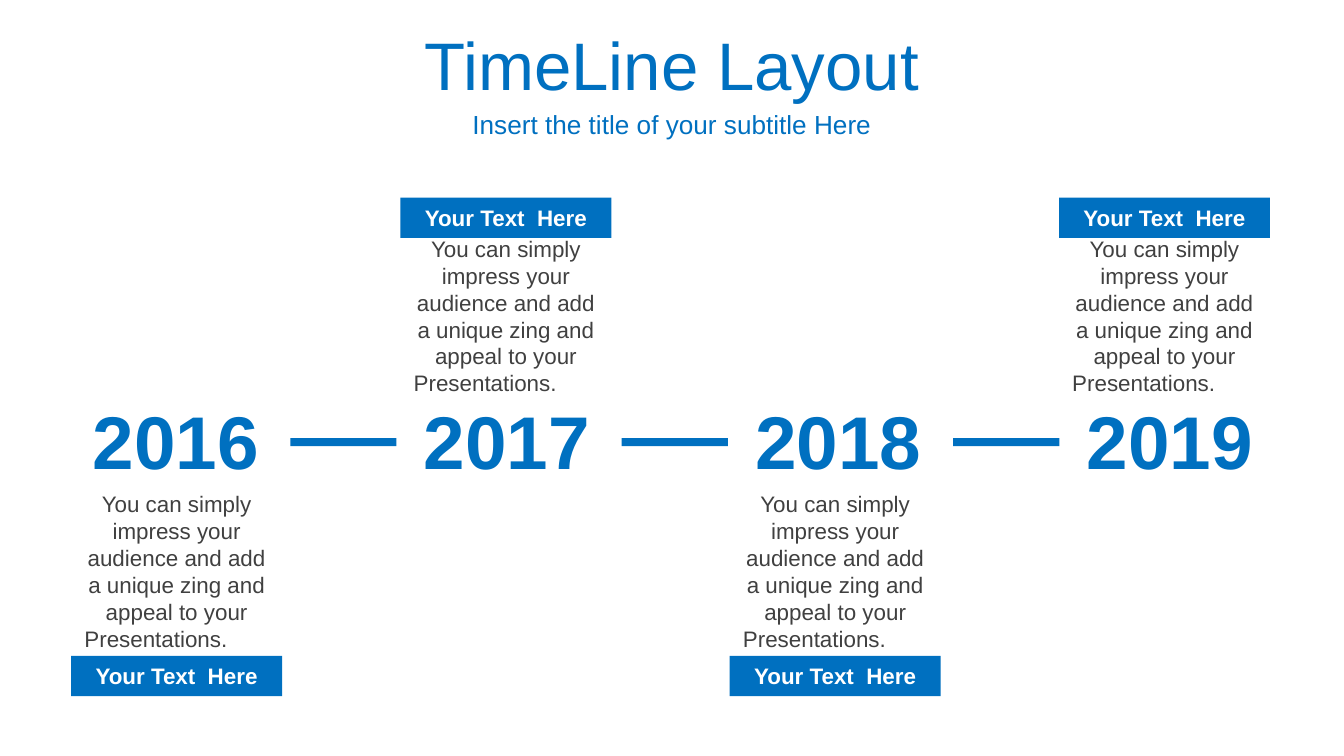
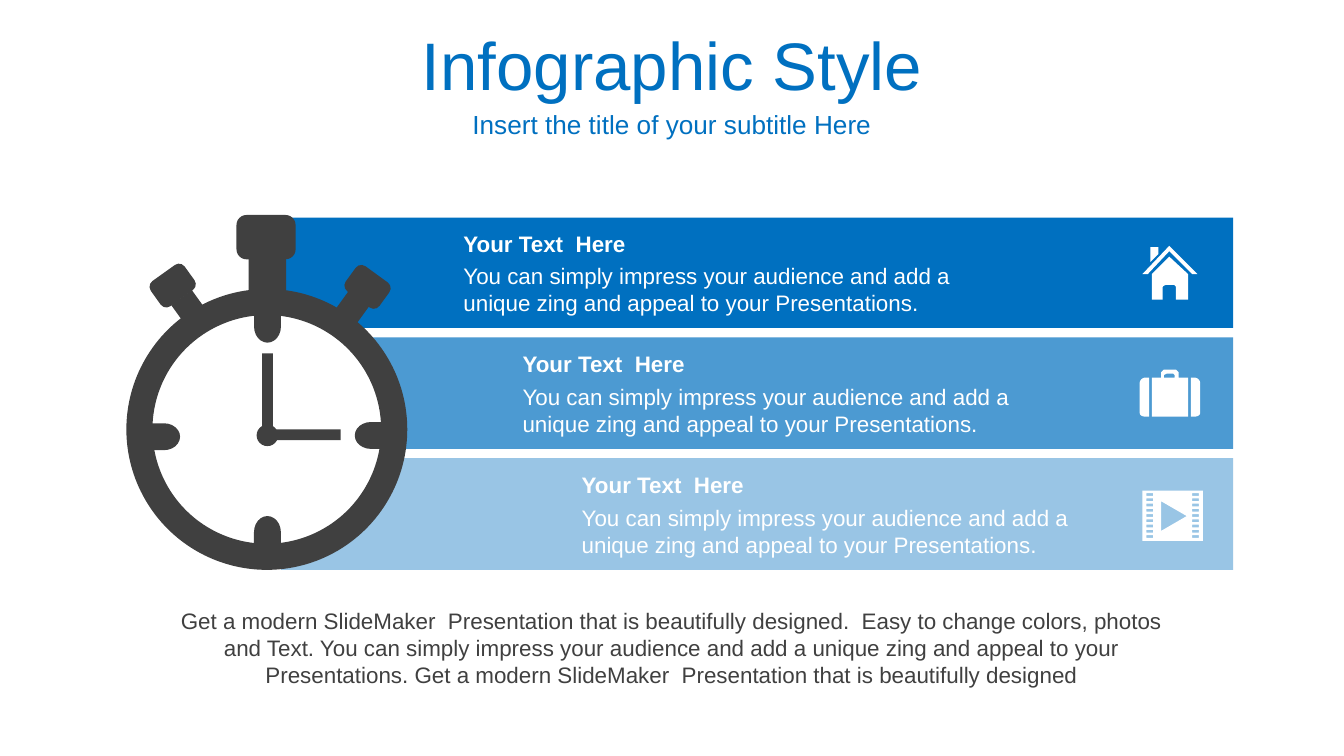
"""Build a two-slide deck with a timeline and a stopwatch infographic."""
import dataclasses

import pptx
import pptx.dml.color
import pptx.enum.shapes
import pptx.enum.text
import pptx.oxml.ns
import pptx.util
from lxml import etree

ALIGN = pptx.enum.text.PP_ALIGN
ANCHOR = pptx.enum.text.MSO_ANCHOR
FORM = pptx.enum.shapes.MSO_SHAPE
WIDE, HIGH = pptx.util.Inches(10), pptx.util.Inches(5.625)
COLS = 100
HEAD = "Your Text  Here"
PITCH = "You can simply impress your audience and add a unique zing and appeal to your"
LAST = "Presentations."
CLOSE = ("Get a modern SlideMaker  Presentation that is beautifully designed.  "
         "Easy to change colors, photos and Text. " + PITCH + " " + LAST +
         " Get a modern SlideMaker  Presentation that is beautifully designed")


@dataclasses.dataclass(frozen=True)
class Theme:
    """Colours, font and type sizes of the deck."""
    blue: str = "0070C0"
    dark: str = "404040"
    white: str = "FFFFFF"
    font: str = "Arial"
    title: int = 36
    sub: int = 14
    year: int = 40
    text: int = 12
    lead: float = 1.2


THEME = Theme()


def unit(count):
    """Turn grid columns into a length; rows are as tall as columns are wide."""
    return pptx.util.Emu(round(count * WIDE / COLS))


def put(item, vals):
    """Set each attribute of the item from a dict."""
    for name, val in vals.items():
        setattr(item, name, val)


def paint(shape, color, alpha=100):
    """Give the shape a plain fill without line or shadow."""
    shape.shadow.inherit = False
    shape.line.fill.background()
    shape.fill.solid()
    shape.fill.fore_color.rgb = pptx.dml.color.RGBColor.from_string(color)
    if alpha < 100:
        qn = pptx.oxml.ns.qn
        node = shape.element.spPr.find(".//" + qn("a:srgbClr"))
        etree.SubElement(node, qn("a:alpha")).set("val", str(alpha * 1000))


def write(frame, lines, size, color, bold=False, align=ALIGN.CENTER, **vals):
    """Fill a text frame; a line may be a pair of text and alignment."""
    put(frame, {"word_wrap": True, "auto_size": pptx.enum.text.MSO_AUTO_SIZE.NONE, **vals})
    for num, line in enumerate(lines):
        words, side = line if isinstance(line, tuple) else (line, align)
        para = frame.add_paragraph() if num else frame.paragraphs[0]
        put(para, {"text": words, "alignment": side, "space_before": pptx.util.Pt(0),
                   "line_spacing": pptx.util.Pt(size * THEME.lead)})
        put(para.font, {"name": THEME.font, "size": pptx.util.Pt(size), "bold": bold})
        para.font.color.rgb = pptx.dml.color.RGBColor.from_string(color)


def note(shapes, box, lines, size, color, **vals):
    """Add a text box at a grid place."""
    shape = shapes.add_textbox(*map(unit, box))
    write(shape.text_frame, lines, size, color, **vals)


def block(shapes, form, box, color, turn=0, bend=None):
    """Add a filled preset shape at a grid place."""
    shape = shapes.add_shape(form, *map(unit, box))
    paint(shape, color)
    shape.rotation = turn
    if bend is not None:
        shape.adjustments[0] = bend
    return shape


def curve(start, one, two, end, steps=12):
    """List the points of a cubic curve."""
    points = []
    for step in range(steps + 1):
        t = step / steps
        parts = ((1 - t) ** 3, 3 * t * (1 - t) ** 2, 3 * t * t * (1 - t), t ** 3)
        points.append(tuple(sum(p * q[axis] for p, q in zip(parts, (start, one, two, end)))
                            for axis in (0, 1)))
    return points


def rect(left, top, right, low):
    """List the corners of a rectangle."""
    return [(left, top), (right, top), (right, low), (left, low)]


def trace(shapes, loops, color, alpha=100):
    """Draw closed loops as one freeform; inner loops are holes."""
    build = None
    for loop in loops:
        first, *rest = [(unit(x), unit(y)) for x, y in loop]
        if build is None:
            build = shapes.build_freeform(*first)
        else:
            build.move_to(*first)
        build.add_line_segments(rest, close=True)
    paint(build.convert_to_shape(), color, alpha)


def begin(deck, title):
    """Add a slide with its title and subtitle."""
    slide = deck.slides.add_slide(deck.slide_layouts[0])
    rows = ((title, 1.4, 6.3, THEME.title, 0.8, 0.4),
            ("Insert the title of your subtitle Here", 7.7, 3.1, THEME.sub, 0.5, 0.5))
    for holder, (words, top, tall, size, above, below) in zip(slide.placeholders, rows):
        put(holder, {"left": 0, "top": unit(top), "width": WIDE, "height": unit(tall)})
        write(holder.text_frame, [words], size, THEME.blue, margin_top=unit(above),
              margin_bottom=unit(below), vertical_anchor=ANCHOR.MIDDLE)
    return slide.shapes


def card(shapes, left, text, label):
    """Add a grouped caption with its blue label."""
    group = shapes.add_group_shape().shapes
    note(group, (left, text, 15.7, 13.1), [PITCH, (LAST, ALIGN.LEFT)], THEME.text, THEME.dark)
    shape = block(group, FORM.RECTANGLE, (left, label, 15.7, 3), THEME.blue)
    write(shape.text_frame, [HEAD], THEME.text, THEME.white, bold=True,
          vertical_anchor=ANCHOR.MIDDLE)


def years(shapes):
    """Lay out the years, the bars between them and the captions."""
    step = 24.66
    for num in range(4):
        note(shapes, (5.9 + num * step, 28.9, 14.5, 7.7), [str(2016 + num)], THEME.year,
             THEME.blue, bold=True, align=ALIGN.LEFT, word_wrap=False)
        if num < 3:
            block(shapes, FORM.RECTANGLE, (21.6 + num * step, 32.6, 7.9, 0.6), THEME.blue)
        card(shapes, 5.3 + num * 24.5, *((17, 14.7) if num % 2 else (36, 48.8)))


def bands(shapes):
    """Draw the three bands that curve around the watch."""
    right = 91.75
    edges = (
        [(20.7, 16.2), (right, 16.2), (right, 24.4),
         *curve((25.4, 24.4), (24.1, 23.4), (22.5, 22.7), (20.7, 22.5))],
        [(26.3, 25.1), (right, 25.1), (right, 33.4),
         *curve((29.1, 33.4), (29.1, 32.9), (29.2, 32.4), (29.2, 31.9)),
         *curve((29.2, 31.9), (29.2, 29.2), (28.1, 26.8), (26.3, 25.1))],
        [(28.9, 34.1), (right, 34.1), (right, 42.4), (20.9, 42.4),
         *curve((20.9, 41.2), (24.8, 40.8), (28, 37.9), (28.9, 34.1))])
    for edge, alpha in zip(edges, (100, 70, 40)):
        trace(shapes, [edge], THEME.blue, alpha)


def watch(shapes):
    """Draw the stopwatch from preset shapes."""
    group = shapes.add_group_shape().shapes
    block(group, FORM.DONUT, (9.4, 21.5, 20.9, 20.9), THEME.dark, bend=0.093)
    stems = ((13, 22, 1.9, 1.5, 324.3), (25.3, 22.1, 1.9, 1.5, 36), (18.5, 19.2, 2.8, 3.3, 0),
             (19.5, 26.3, 0.8, 5.9, 0), (22, 29.4, 0.8, 5.9, 90))
    for *box, turn in stems:
        block(group, FORM.RECTANGLE, box, THEME.dark, turn)
    knobs = ((11.3, 20.1, 3.1, 2.3, 324.3), (25.8, 20.2, 3.1, 2.3, 36), (17.6, 16, 4.4, 3.3, 0))
    for *box, turn in knobs:
        block(group, FORM.ROUNDED_RECTANGLE, box, THEME.dark, turn, 0.227)
    marks = ((11, 31.5), (18.7, 23.3), (26.4, 31.4), (18.7, 38.6))
    for num, (left, top) in enumerate(marks):
        block(group, FORM.FLOWCHART_DELAY, (left, top, 2.4, 2), THEME.dark, num * 90)
    block(group, FORM.OVAL, (19.1, 31.6, 1.6, 1.6), THEME.dark)


def house(shapes):
    """Draw the house icon."""
    walls = [(87, 19.1), (88.4, 20.4), (88.4, 22.3), (87.5, 22.3),
             *curve((87.5, 21.4), (87.5, 21.3), (87.4, 21.2), (87.3, 21.2)),
             *curve((86.8, 21.2), (86.7, 21.2), (86.5, 21.3), (86.5, 21.4)),
             (86.5, 22.3), (85.7, 22.3), (85.7, 20.4)]
    flue = [(85.6, 18.4), (86.2, 18.4), (86.2, 18.9), (85.6, 19.5)]
    roof = [(87, 18.3), (89.1, 20.4), (88.7, 20.4), (87, 18.7), (85.4, 20.4), (85, 20.4)]
    trace(shapes, [walls, flue, roof], THEME.white)


def case(shapes):
    """Draw the suitcase icon."""
    mid = 87.05
    side = [(88.6, 28.1), *curve((88.9, 28.1), (89.1, 28.1), (89.3, 28.3), (89.3, 28.5)),
            *curve((89.3, 30.7), (89.3, 30.9), (89.1, 31), (88.9, 31)), (88.6, 31)]
    twin = [(2 * mid - x, y) for x, y in side]
    body = [(86.6, 27.5), (87.5, 27.5), (87.7, 27.7), (87.7, 28.1), (88.4, 28.1),
            (88.4, 31), (85.7, 31), (85.7, 28.1), (86.4, 28.1), (86.4, 27.7)]
    grip = [(86.8, 27.8), (87.3, 27.8), (87.4, 27.9), (87.4, 28.1), (86.6, 28.1), (86.6, 27.9)]
    trace(shapes, [side, twin, body, grip], THEME.white)


def film(shapes):
    """Draw the film icon with its rows of holes."""
    holes = [rect(left, 36.7 + row * 0.39, left + 0.5, 36.9 + row * 0.39)
             for row in range(9) for left in (85.3, 88.7)]
    play = [(86.4, 37.3), (86.4, 39.5), (88.3, 38.4)]
    trace(shapes, [rect(85, 36.5, 89.5, 40.25), play, *holes], THEME.white)


def items(shapes):
    """Write a heading and a sentence on each band."""
    for num in range(3):
        left, top = 33.5 + num * 4.4, 16.6 + num * 9
        group = shapes.add_group_shape().shapes
        note(group, (left, top + 2.4, 40.7, 5), [PITCH + " " + LAST], THEME.text,
             THEME.white, align=ALIGN.LEFT)
        note(group, (left, top, 40.7, 3), [HEAD], THEME.text, THEME.white,
             bold=True, align=ALIGN.LEFT)


def main():
    """Build and save the deck."""
    deck = pptx.Presentation()
    put(deck, {"slide_width": WIDE, "slide_height": HIGH})
    years(begin(deck, "TimeLine Layout"))
    shapes = begin(deck, "Infographic Style")
    for draw in (bands, watch, house, case, film, items):
        draw(shapes)
    note(shapes, (11.6, 44.7, 76.8, 7.1), [CLOSE], THEME.text, THEME.dark)
    deck.save("out.pptx")


if __name__ == "__main__":
    main()
